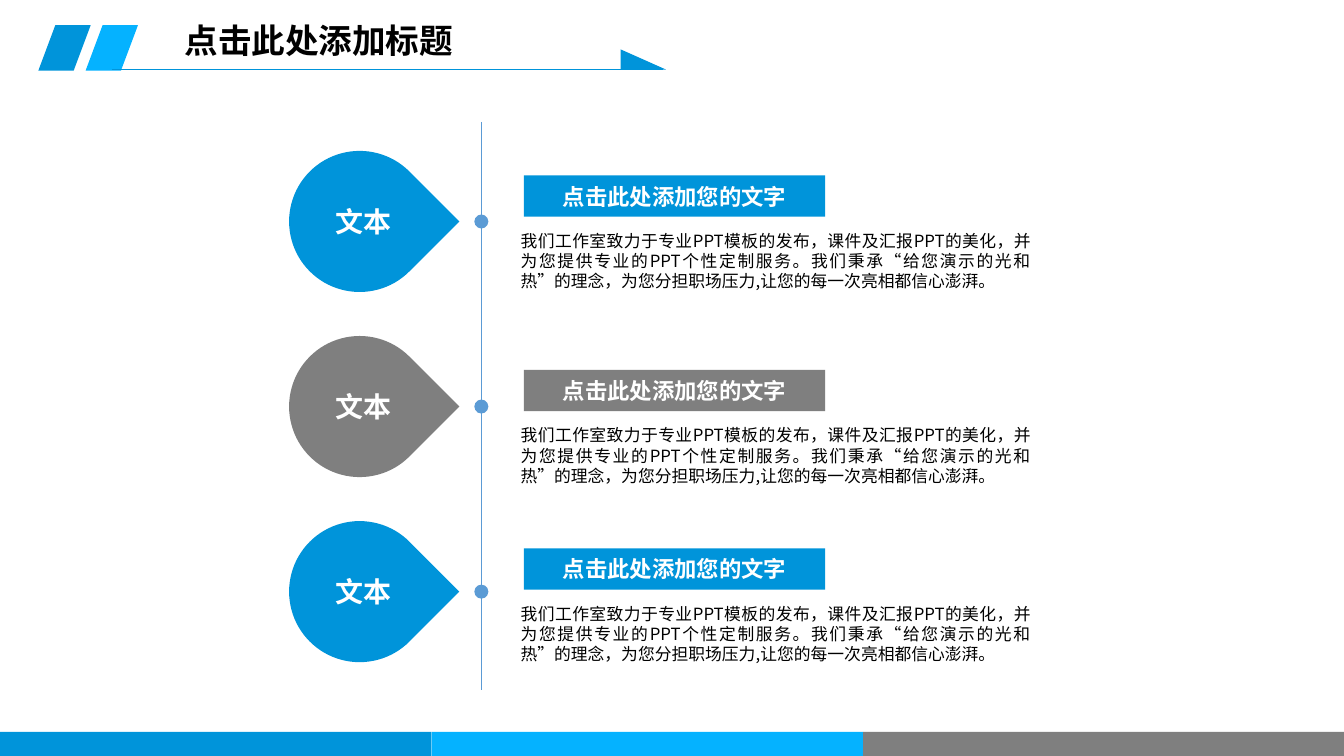
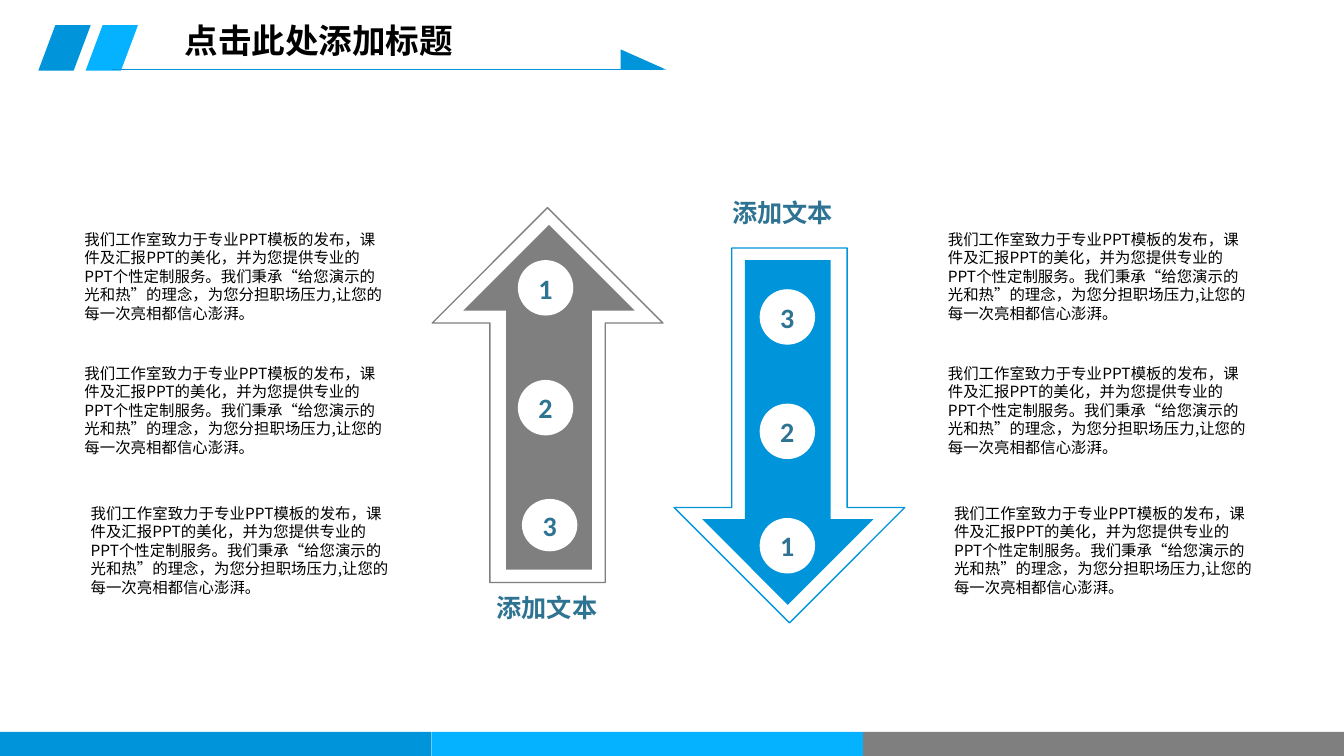
from dataclasses import dataclass
from typing import Optional

from lxml import etree
from pptx import Presentation
from pptx.dml.color import RGBColor
from pptx.enum.shapes import MSO_CONNECTOR, MSO_SHAPE
from pptx.enum.text import MSO_ANCHOR, MSO_AUTO_SIZE, PP_ALIGN
from pptx.oxml.ns import qn
from pptx.util import Pt

BLUE = RGBColor(0x00, 0x94, 0xDA)
SKY = RGBColor(0x05, 0xB2, 0xFF)
GRAY = RGBColor(0x7F, 0x7F, 0x7F)
STEEL = RGBColor(0x5B, 0x9B, 0xD5)
TEAL = RGBColor(0x2E, 0x74, 0x92)
WHITE = RGBColor(0xFF, 0xFF, 0xFF)
BLACK = RGBColor(0x00, 0x00, 0x00)

CJK = "Noto Sans CJK SC"
LATIN = "Calibri"

LEFT, CENTER, JUSTIFY = PP_ALIGN.LEFT, PP_ALIGN.CENTER, PP_ALIGN.JUSTIFY
TOP, MIDDLE = MSO_ANCHOR.TOP, MSO_ANCHOR.MIDDLE
GROW = MSO_AUTO_SIZE.SHAPE_TO_FIT_TEXT
STRAIGHT = MSO_CONNECTOR.STRAIGHT
RECT, OVAL = MSO_SHAPE.RECTANGLE, MSO_SHAPE.OVAL
SLANT, WEDGE = MSO_SHAPE.PARALLELOGRAM, MSO_SHAPE.ISOSCELES_TRIANGLE
DROP, ARROW = MSO_SHAPE.TEAR, MSO_SHAPE.UP_ARROW

TITLE = "点击此处添加标题"
BODY = (
    "我们工作室致力于专业PPT模板的发布，课件及汇报PPT的美化，"
    "并为您提供专业的PPT个性定制服务。我们秉承“给您演示的光和热”的理念，"
    "为您分担职场压力,让您的每一次亮相都信心澎湃。"
)


@dataclass(frozen=True)
class Box:
    left: float
    top: float
    width: float
    height: float


@dataclass(frozen=True)
class TextStyle:
    size: float
    color: RGBColor
    bold: bool = True
    font: str = CJK
    align: PP_ALIGN = LEFT


@dataclass(frozen=True)
class Item:
    color: RGBColor
    bar_top: float


@dataclass(frozen=True)
class Arrow:
    color: RGBColor
    inner: Box
    outer: Box
    rotation: float
    label: Box
    badges: tuple[Box, ...]
    digits: str


TITLE_STYLE = TextStyle(24, BLACK)
DROP_STYLE = TextStyle(20, WHITE)
BAR_STYLE = TextStyle(16, WHITE, align=CENTER)
ITEM_STYLE = TextStyle(12, BLACK, bold=False, align=JUSTIFY)
NOTE_STYLE = TextStyle(11, BLACK, bold=False)
LABEL_STYLE = TextStyle(18, TEAL)
DIGIT_STYLE = TextStyle(20, TEAL, font=LATIN, align=CENTER)

BADGE = 39.6
ITEMS = (Item(BLUE, 125.3), Item(GRAY, 264.2), Item(BLUE, 391.7))
ARROWS = (
    Arrow(
        GRAY,
        Box(331.2, 160.6, 122.4, 246.2),
        Box(308.9, 148.3, 164.9, 267.8),
        0,
        Box(347.8, 419.8, 95, 28.8),
        (
            Box(370.1, 185.8, BADGE, BADGE),
            Box(370.1, 271.4, BADGE, BADGE),
            Box(373, 356.4, BADGE, 37.4),
        ),
        "123",
    ),
    Arrow(
        BLUE,
        Box(501.8, 185.8, 122.4, 246.2),
        Box(481.7, 177.1, 164.9, 267.8),
        180,
        Box(516.2, 137.5, 95, 28.8),
        tuple(Box(542.9, 206.6 + 81.7 * i, BADGE, BADGE) for i in range(3)),
        "321",
    ),
)


def write(sp, text: str, style: TextStyle, anchor: MSO_ANCHOR = TOP) -> None:
    tf = sp.text_frame
    tf.word_wrap = True
    tf.vertical_anchor = anchor
    tf.margin_left = tf.margin_right = Pt(7.2)
    tf.margin_top = tf.margin_bottom = Pt(3.6)
    p = tf.paragraphs[0]
    p.alignment = style.align
    r = p.add_run()
    r.text = text
    r.font.size = Pt(style.size)
    r.font.bold = style.bold
    r.font.color.rgb = style.color
    r.font.name = style.font
    etree.SubElement(r.font._element, qn("a:ea"), typeface=style.font)


def add_text(s, box: Box, text: str, style: TextStyle) -> None:
    sp = s.shapes.add_textbox(Pt(box.left), Pt(box.top), Pt(box.width), Pt(box.height))
    write(sp, text, style)
    sp.text_frame.auto_size = GROW


def add_shape(s, kind: MSO_SHAPE, box: Box, fill: Optional[RGBColor] = None,
              line: Optional[RGBColor] = None, adj: Optional[float] = None,
              rotation: float = 0):
    sp = s.shapes.add_shape(kind, Pt(box.left), Pt(box.top), Pt(box.width), Pt(box.height))
    sp.shadow.inherit = False
    sp.rotation = rotation
    if adj is not None:
        sp.adjustments[0] = adj
    if fill is None:
        sp.fill.background()
    else:
        sp.fill.solid()
        sp.fill.fore_color.rgb = fill
    if line is None:
        sp.line.fill.background()
    else:
        sp.line.color.rgb = line
        sp.line.width = Pt(1)
    return sp


def add_line(s, x1: float, y1: float, x2: float, y2: float, color: RGBColor) -> None:
    cx = s.shapes.add_connector(STRAIGHT, Pt(x1), Pt(y1), Pt(x2), Pt(y2))
    cx.line.color.rgb = color
    cx.line.width = Pt(0.5)
    etree.SubElement(cx._element.spPr, qn("a:effectLst"))


def add_slide(prs):
    s = prs.slides.add_slide(prs.slide_layouts[5])
    for left, color in ((27.4, BLUE), (61.2, SKY)):
        add_shape(s, SLANT, Box(left, 18, 37.4, 32.4), color, adj=0.374)
    add_line(s, 80, 49.7, 473.8, 49.7, BLUE)
    add_shape(s, WEDGE, Box(443.5, 35.3, 32.4, 14.4), BLUE, adj=0)

    title = s.shapes.title
    title.left, title.top, title.width, title.height = Pt(124.6), Pt(10.8), Pt(218.9), Pt(36)
    write(title, TITLE, TITLE_STYLE)
    title.text_frame.auto_size = GROW

    band = 308.4
    for i, (color, width) in enumerate(((BLUE, band), (SKY, band), (GRAY, 343.68))):
        add_shape(s, RECT, Box(i * band, 522.7, width, 17.3), color)
    return s


def build_timeline(prs) -> None:
    s = add_slide(prs)
    axis, dot, drop = 344, 10, 100.8
    add_line(s, axis, 87.1, axis, 493.2, STEEL)
    for i, item in enumerate(ITEMS):
        mid = 158.2 + 132.2 * i
        add_shape(s, OVAL, Box(axis - dot / 2, mid - dot / 2, dot, dot), STEEL)
        add_shape(s, DROP, Box(206.6, mid - drop / 2, drop, drop), item.color, adj=1, rotation=45)
        add_text(s, Box(232.6, mid - 15.8, 69.1, 31.6), "文本", DROP_STYLE)
        bar = add_shape(s, RECT, Box(374.4, item.bar_top, 215.3, 29.5), item.color)
        write(bar, "点击此处添加您的文字", BAR_STYLE, MIDDLE)
        add_text(s, Box(365, item.bar_top + 36, 378.7, 50.4), BODY, ITEM_STYLE)


def build_arrows(prs) -> None:
    s = add_slide(prs)
    for arrow in ARROWS:
        add_shape(s, ARROW, arrow.inner, arrow.color, rotation=arrow.rotation)
        add_shape(s, ARROW, arrow.outer, line=arrow.color, rotation=arrow.rotation)
        for box, digit in zip(arrow.badges, arrow.digits):
            write(add_shape(s, OVAL, box, WHITE), digit, DIGIT_STYLE, MIDDLE)
        add_text(s, arrow.label, "添加文本", LABEL_STYLE)
    for column in (53.3, 670.3):
        for shift, top in ((0, 160.6), (0, 256.3), (4.4, 356.4)):
            add_text(s, Box(column + shift, top, 227.2, 73.4), BODY, NOTE_STYLE)


def main() -> None:
    prs = Presentation()
    prs.slide_width, prs.slide_height = Pt(960.48), Pt(540)
    build_timeline(prs)
    build_arrows(prs)
    prs.save("out.pptx")


if __name__ == "__main__":
    main()
